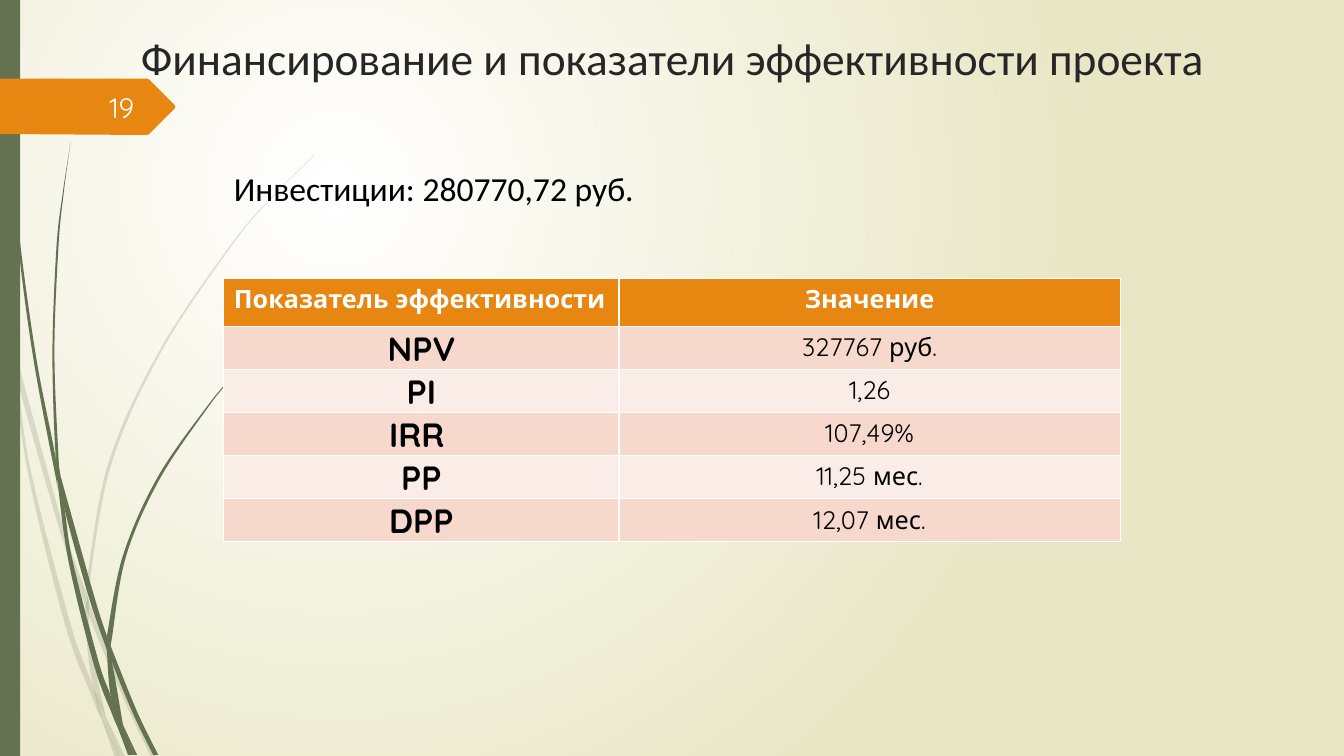
from dataclasses import dataclass

from lxml.etree import SubElement
from pptx import Presentation
from pptx.dml.color import RGBColor
from pptx.enum.shapes import MSO_SHAPE
from pptx.enum.text import MSO_ANCHOR, MSO_AUTO_SIZE, PP_ALIGN
from pptx.oxml import parse_xml
from pptx.oxml.ns import nsdecls, qn
from pptx.util import Inches, Pt

COLORS = {
    "white": "FFFFFF", "sand": "E8E6C4", "green": "647252", "orange": "E78712",
    "number": "FEFFFF", "title": "262626", "black": "000000",
    "band_dark": "F6D9CC", "band_light": "FAEDE7",
}
Point = tuple[float, float]


@dataclass
class Blade:
    """A piece of grass: its two edges, both listed from tip to root."""
    left: list[Point]
    right: list[Point]


@dataclass
class Label:
    text: str
    box: tuple[float, float, float, float]
    size: float
    color: str
    font: str = "Calibri"
    align: PP_ALIGN = PP_ALIGN.LEFT
    anchor: MSO_ANCHOR = MSO_ANCHOR.TOP


PALE_GRASS = [
    Blade([(0, 2.99), (0.1, 3.44), (0.11, 3.5)], [(0, 2.82), (0.09, 3.22), (0.11, 3.5)]),
    Blade([(0.14, 3.45), (0.17, 3.76), (0.58, 5.22), (0.84, 5.99)],
          [(0.14, 3.45), (0.62, 5.2), (0.85, 5.86)]),
    Blade([(0.88, 5.96), (0.88, 6.1), (1.23, 6.94), (1.5, 7.51)],
          [(0.88, 5.96), (0.92, 6.07), (1.27, 6.92), (1.55, 7.51)]),
    Blade([(1.05, 7.11), (1.19, 7.51)], [(1.05, 7.11), (1.24, 7.51)]),
    Blade([(0.11, 3.5), (0.28, 4.7), (0.65, 6.21), (0.92, 6.93), (1.01, 7.14)],
          [(0.11, 3.5), (0.17, 3.76), (0.31, 4.69), (0.7, 6.19), (0.93, 6.83), (1.01, 7.14)]),
    Blade([(0.84, 5.99), (0.87, 6.46), (0.93, 6.83), (1.05, 7.11)],
          [(0.84, 5.99), (0.88, 6.1), (0.91, 6.46), (1.05, 7.11)]),
    Blade([(3.12, 1.53), (2.68, 1.97), (2.28, 2.44), (1.58, 3.48), (1.07, 4.61), (0.85, 5.84)],
          [(3.12, 1.54), (2.68, 1.98), (2.29, 2.45), (1.6, 3.49), (1.1, 4.62), (0.88, 5.84),
           (0.88, 5.96)]),
    Blade([(1.01, 7.14), (1.14, 7.51)], [(1.01, 7.14), (1.19, 7.51)]),
    Blade([(0.85, 5.86), (0.84, 5.99)], [(0.85, 5.86), (0.88, 5.96), (0.88, 6.1)]),
    Blade([(0.93, 6.83), (1.01, 7.14), (1.19, 7.51)], [(0.93, 6.83), (1.05, 7.11), (1.19, 7.51)]),
]
GREEN_GRASS = [
    Blade([(0.03, 0), (0.07, 1.1), (0.17, 2.33), (0.33, 3.55), (0.56, 4.77), (0.57, 4.81)],
          [(0.04, 0), (0.08, 1.09), (0.19, 2.32), (0.36, 3.55), (0.55, 4.53), (0.57, 4.81)]),
    Blade([(0.6, 4.72), (0.64, 5.05), (0.88, 5.92), (1.06, 6.45)],
          [(0.6, 4.72), (0.93, 5.9), (1.06, 6.31)]),
    Blade([(1.1, 6.41), (1.11, 6.56), (1.32, 7.08), (1.52, 7.49)],
          [(1.1, 6.41), (1.13, 6.49), (1.36, 7.06), (1.57, 7.49)]),
    Blade([(0.57, 4.77), (0.68, 5.57), (0.93, 6.59), (1.11, 7.08), (1.17, 7.22)],
          [(0.57, 4.77), (0.64, 5.05), (0.72, 5.56), (0.98, 6.57), (1.1, 6.91), (1.17, 7.22)]),
    Blade([(0.7, 1.41), (0.62, 1.93), (0.56, 2.45), (0.52, 3.49), (0.55, 4.49), (0.6, 4.72)],
          [(0.7, 1.41), (0.63, 1.93), (0.58, 2.45), (0.54, 3.49), (0.58, 4.53), (0.6, 4.72)]),
    Blade([(1.22, 7.19), (1.33, 7.49)], [(1.22, 7.19), (1.36, 7.49)]),
    Blade([(0.55, 4.49), (0.57, 4.77), (0.64, 5.05)], [(0.55, 4.49), (0.6, 4.72), (0.64, 5.05)]),
    Blade([(2.6, 3.44), (2.31, 3.73), (2.04, 4.05), (1.56, 4.74), (1.22, 5.51), (1.06, 6.31)],
          [(2.61, 3.44), (2.31, 3.74), (2.05, 4.06), (1.58, 4.76), (1.25, 5.52), (1.11, 6.33),
           (1.1, 6.41)]),
    Blade([(1.17, 7.22), (1.27, 7.49)], [(1.17, 7.22), (1.31, 7.49)]),
    Blade([(1.06, 6.45), (1.1, 6.91), (1.22, 7.19)], [(1.06, 6.45), (1.11, 6.56), (1.22, 7.19)]),
    Blade([(1.06, 6.31), (1.06, 6.45)], [(1.06, 6.31), (1.1, 6.41), (1.11, 6.56)]),
    Blade([(1.1, 6.91), (1.17, 7.22), (1.3, 7.49)], [(1.1, 6.91), (1.22, 7.19), (1.33, 7.49)]),
]
TITLE = Label("Финансирование и показатели эффективности проекта",
              (1.01, 0.25, 11.32, 0.74), 32.4, "title", align=PP_ALIGN.CENTER)
NUMBER = Label("19", (0.58, 0.86, 0.85, 0.4), 20, "number", "Quicksand",
               PP_ALIGN.RIGHT, MSO_ANCHOR.MIDDLE)
INVESTMENT = Label("Инвестиции: 280770,72 руб.", (2.22, 1.62, 8.89, 0.5), 24, "black")
INDICATORS = [
    ("Показатель эффективности", "Значение"), ("NPV", "327767 руб."), ("PI", "1,26"),
    ("IRR ", "107,49%"), ("PP", "11,25 мес."), ("DPP", "12,07 мес."),
]


def rgb(name: str) -> RGBColor:
    return RGBColor.from_string(COLORS[name])


def paint(sp, color: str, opacity: int = 100) -> None:
    sp.shadow.inherit = False
    sp.fill.solid()
    sp.fill.fore_color.rgb = rgb(color)
    sp.line.fill.background()
    if opacity < 100:
        clr = sp.fill._xPr.find(".//" + qn("a:srgbClr"))
        SubElement(clr, qn("a:alpha"), val=str(opacity * 1000))


def add_outline(shapes, points: list[Point]):
    start, *rest = [(Inches(x), Inches(y)) for x, y in points]
    fb = shapes.build_freeform(*start)
    fb.add_line_segments(rest, close=True)
    return fb.convert_to_shape()


def curve(nodes: list[Point]) -> list[Point]:
    """Bezier points of a smooth curve through the nodes, without the first node."""
    ends = [nodes[0], *nodes, nodes[-1]]
    points = []
    for a, b, c, d in zip(ends, ends[1:], ends[2:], ends[3:]):
        points += [(b[0] + (c[0] - a[0]) / 6, b[1] + (c[1] - a[1]) / 6),
                   (c[0] - (d[0] - b[0]) / 6, c[1] - (d[1] - b[1]) / 6), c]
    return points


def add_grass(slide, blades: list[Blade], opacity: int = 100) -> None:
    group = slide.shapes.add_group_shape()
    for blade in blades:
        root = blade.right[-1]
        sp = add_outline(group.shapes, [blade.left[0], *curve(blade.left), blade.left[-1],
                                        root, root, *curve(blade.right[::-1])])
        # Every three line ends become one Bezier segment
        lines = list(sp._element.iter(qn("a:lnTo")))
        for trio in zip(*[iter(lines)] * 3):
            bezier = parse_xml(f'<a:cubicBezTo {nsdecls("a")}/>')
            trio[0].addprevious(bezier)
            for line in trio:
                bezier.append(line[0])
                line.getparent().remove(line)
        paint(sp, "green", opacity)


def write(tf, text: str, align: PP_ALIGN, color: str, **font) -> None:
    p = tf.paragraphs[0]
    p.alignment = align
    r = p.add_run()
    r.text = text
    r.font.color.rgb = rgb(color)
    for name, value in font.items():
        setattr(r.font, name, value)


def add_label(sp, label: Label) -> None:
    for name, value in zip(("left", "top", "width", "height"), label.box):
        setattr(sp, name, Inches(value))
    layout = {"word_wrap": True, "auto_size": MSO_AUTO_SIZE.NONE,
              "vertical_anchor": label.anchor}
    for name, value in layout.items():
        setattr(sp.text_frame, name, value)
    write(sp.text_frame, label.text, label.align, label.color,
          name=label.font, size=Pt(label.size))


def add_indicators(slide) -> None:
    table = slide.shapes.add_table(len(INDICATORS), 2, Inches(2.22), Inches(2.76),
                                   Inches(8.89), Inches(2.53)).table
    tight = {"margin_left": Inches(0.01), "margin_right": Inches(0.01),
             "margin_top": Inches(0.01), "margin_bottom": 0,
             "vertical_anchor": MSO_ANCHOR.BOTTOM}
    for col, width in zip(table.columns, (3.92, 4.97)):
        col.width = Inches(width)
    for i, texts in enumerate(INDICATORS):
        header = i == 0
        table.rows[i].height = Inches(0.48 if header else 0.41)
        for j, text in enumerate(texts):
            cell = table.cell(i, j)
            name_cell = j == 0 and not header
            cell.fill.solid()
            cell.fill.fore_color.rgb = rgb(
                "orange" if header else ("band_light", "band_dark")[i % 2])
            for name, value in (tight if name_cell else {}).items():
                setattr(cell, name, value)
            write(cell.text_frame, text,
                  PP_ALIGN.LEFT if header and j == 0 else PP_ALIGN.CENTER,
                  "white" if header else "black", name="Quicksand",
                  size=Pt(24 if name_cell else 18), bold=header or j == 0)


def set_background(slide) -> None:
    fill = slide.background.fill
    fill.gradient()
    for stop, color in zip(fill.gradient_stops, ("white", "sand")):
        stop.color.rgb = rgb(color)
    grad = slide.background._cSld.find(".//" + qn("a:gradFill"))
    grad.replace(grad.find(qn("a:lin")), parse_xml(
        f'<a:path {nsdecls("a")} path="circle">'
        '<a:fillToRect l="50000" t="50000" r="100000" b="100000"/></a:path>'))


prs = Presentation()
prs.slide_width, prs.slide_height = Inches(13.33), Inches(7.5)
s = prs.slides.add_slide(prs.slide_layouts[5])
set_background(s)

# Grass and side bar
add_grass(s, PALE_GRASS, 20)
add_grass(s, GREEN_GRASS)
paint(s.shapes.add_shape(MSO_SHAPE.RECTANGLE, 0, 0, Inches(0.2), prs.slide_height), "green")

# Slide number on its arrow
paint(add_outline(s.shapes, [(0, 0.78), (1.46, 0.78), (1.48, 0.79), (1.73, 1.04), (1.74, 1.06),
                             (1.73, 1.08), (1.48, 1.33), (1.46, 1.34), (0, 1.33)]), "orange")
add_label(s.shapes.add_textbox(0, 0, 0, 0), NUMBER)

# Title, investment and indicators
add_label(s.shapes.title, TITLE)
add_label(s.shapes.add_textbox(0, 0, 0, 0), INVESTMENT)
add_indicators(s)

prs.save("out.pptx")
